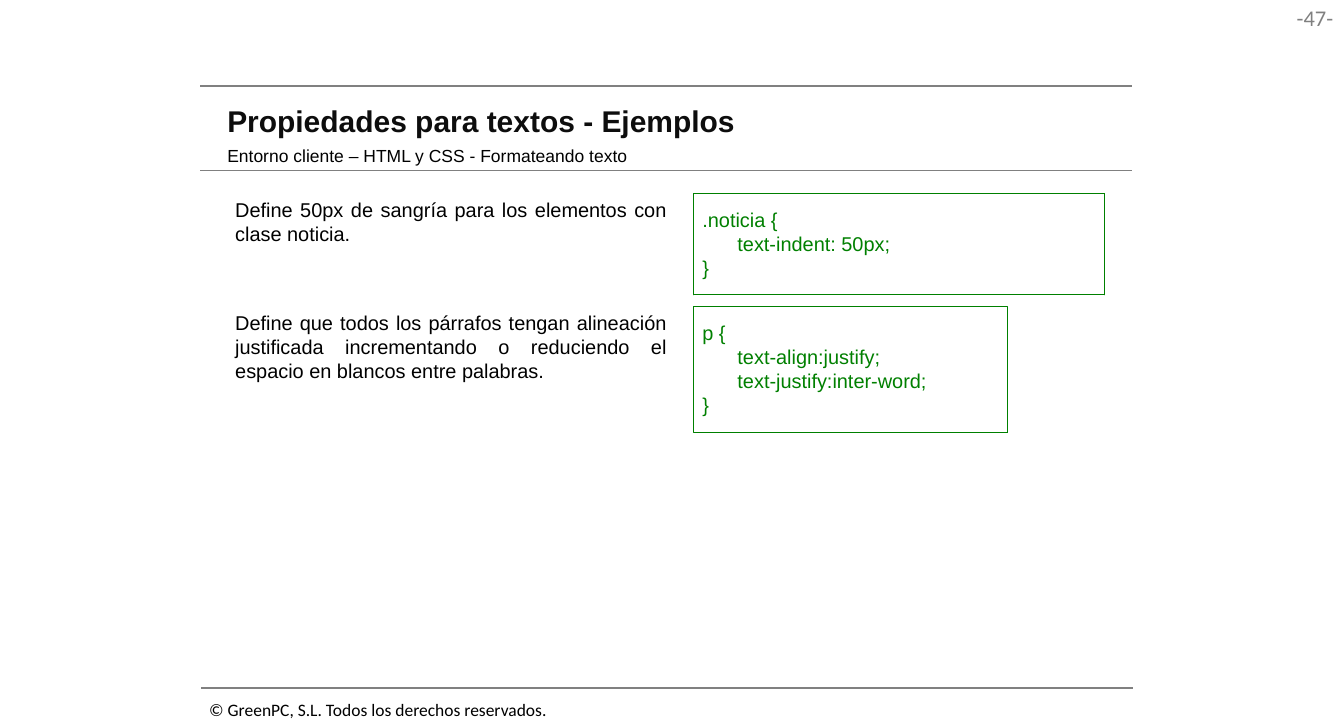
import pptx
import pptx.dml.color
import pptx.enum.dml
import pptx.enum.shapes
import pptx.enum.text
import pptx.oxml
import pptx.oxml.ns
import pptx.util
from pptx.util import Inches

BLACK = pptx.dml.color.RGBColor(0x00, 0x00, 0x00)
WHITE = pptx.dml.color.RGBColor(0xFF, 0xFF, 0xFF)
NEAR_BLACK = pptx.dml.color.RGBColor(0x0D, 0x0D, 0x0D)
GRAY = pptx.dml.color.RGBColor(0x80, 0x80, 0x80)
GREEN = pptx.dml.color.RGBColor(0x00, 0x80, 0x00)

ALIGN = pptx.enum.text.PP_ALIGN
ANCHOR = pptx.enum.text.MSO_ANCHOR

TITLE_FONT = {"name": "Arial", "size": pptx.util.Pt(24), "bold": True}
SUBTITLE_FONT = {"name": "Arial", "size": pptx.util.Pt(14)}
BODY_FONT = {"name": "Arial", "size": pptx.util.Pt(16)}
NUMBER_FONT = {"name": "Calibri", "size": pptx.util.Pt(18)}
FOOTER_FONT = {"name": "Calibri", "size": pptx.util.Pt(14)}

EXAMPLES = [
    (
        2.15, 0.64, 4.57, 1.13,
        "Define 50px de sangría para los elementos con clase noticia.",
        [".noticia {", "\ttext-indent: 50px;", "}"],
    ),
    (
        3.41, 0.91, 3.49, 1.4,
        "Define que todos los párrafos tengan alineación justificada "
        "incrementando o reduciendo el espacio en blancos entre palabras.",
        ["p {", "\ttext-align:justify;", "\ttext-justify:inter-word;", "}"],
    ),
]


def apply_format(target, values):
    for attribute, value in values.items():
        setattr(target, attribute, value)


def set_tab_stop(paragraph, position):
    properties = paragraph._p.get_or_add_pPr()
    properties.append(pptx.oxml.parse_xml(
        f'<a:tabLst {pptx.oxml.ns.nsdecls("a")}>'
        f'<a:tab pos="{position}" algn="l"/></a:tabLst>'
    ))


def write_text(frame, lines, font, color, align=ALIGN.LEFT, margins=(0.1, 0.05),
               anchor=ANCHOR.TOP, wrap=True, tab=None):
    horizontal, vertical = (Inches(margin) for margin in margins)
    apply_format(frame, {
        "auto_size": pptx.enum.text.MSO_AUTO_SIZE.NONE,
        "word_wrap": wrap,
        "vertical_anchor": anchor,
        "margin_left": horizontal,
        "margin_right": horizontal,
        "margin_top": vertical,
        "margin_bottom": vertical,
    })
    for index, line in enumerate(lines):
        paragraph = frame.add_paragraph() if index else frame.paragraphs[0]
        paragraph.alignment = align
        if tab:
            set_tab_stop(paragraph, tab)
        run = paragraph.add_run()
        run.text = line
        apply_format(run.font, font)
        run.font.color.rgb = color


def add_label(slide, box, text, font, color, **layout):
    label = slide.shapes.add_textbox(*map(Inches, box))
    write_text(label.text_frame, [text], font, color, **layout)


def add_rule(slide, left, top, weight):
    rule = slide.shapes.add_connector(
        pptx.enum.shapes.MSO_CONNECTOR.STRAIGHT,
        Inches(left), Inches(top), Inches(left + 10.37), Inches(top),
    )
    rule.line.color.rgb = GRAY
    rule.line.width = pptx.util.Pt(weight)
    rule._element.spPr.append(
        pptx.oxml.parse_xml(f'<a:effectLst {pptx.oxml.ns.nsdecls("a")}/>')
    )


def add_title(slide, text):
    title = slide.shapes.title
    apply_format(title, {
        "left": Inches(2.4), "top": Inches(1.07),
        "width": Inches(10.12), "height": Inches(0.54),
    })
    write_text(title.text_frame, [text], TITLE_FONT, NEAR_BLACK,
               margins=(0.13, 0.07), anchor=ANCHOR.MIDDLE)


def add_code(slide, box, lines):
    code = slide.shapes.add_shape(
        pptx.enum.shapes.MSO_SHAPE.RECTANGLE, *map(Inches, box)
    )
    code.shadow.inherit = False
    code.fill.solid()
    code.fill.fore_color.rgb = WHITE
    code.line.color.rgb = GREEN
    apply_format(code.line, {
        "width": pptx.util.Pt(0.25),
        "dash_style": pptx.enum.dml.MSO_LINE.ROUND_DOT,
    })
    write_text(code.text_frame, lines, BODY_FONT, GREEN,
               margins=(0.1, 0.16), tab=Inches(0.39))


def main():
    presentation = pptx.Presentation()
    presentation.slide_width = Inches(14.96)
    presentation.slide_height = Inches(8.07)
    slide = presentation.slides.add_slide(presentation.slide_layouts[5])

    add_label(slide, (14.13, 0, 0.82, 0.41), "-47-", NUMBER_FONT, GRAY,
              align=ALIGN.RIGHT, margins=(0.11, 0.05), wrap=False)
    for left, top, weight in [(2.23, 0.96, 1.5), (2.23, 1.9, 1), (2.24, 7.66, 1.5)]:
        add_rule(slide, left, top, weight)
    add_label(slide, (2.23, 7.73, 3.99, 0.34),
              "© GreenPC, S.L. Todos los derechos reservados.",
              FOOTER_FONT, BLACK, wrap=False)

    add_title(slide, "Propiedades para textos - Ejemplos")
    add_label(slide, (2.4, 1.55, 9.65, 0.37),
              "Entorno cliente – HTML y CSS - Formateando texto",
              SUBTITLE_FONT, BLACK, margins=(0.13, 0.07), anchor=ANCHOR.MIDDLE)

    for top, text_height, code_width, code_height, description, code in EXAMPLES:
        add_code(slide, (7.72, top, code_width, code_height), code)
        add_label(slide, (2.52, top, 5, text_height), description,
                  BODY_FONT, BLACK, align=ALIGN.JUSTIFY)

    presentation.save("out.pptx")


if __name__ == "__main__":
    main()
